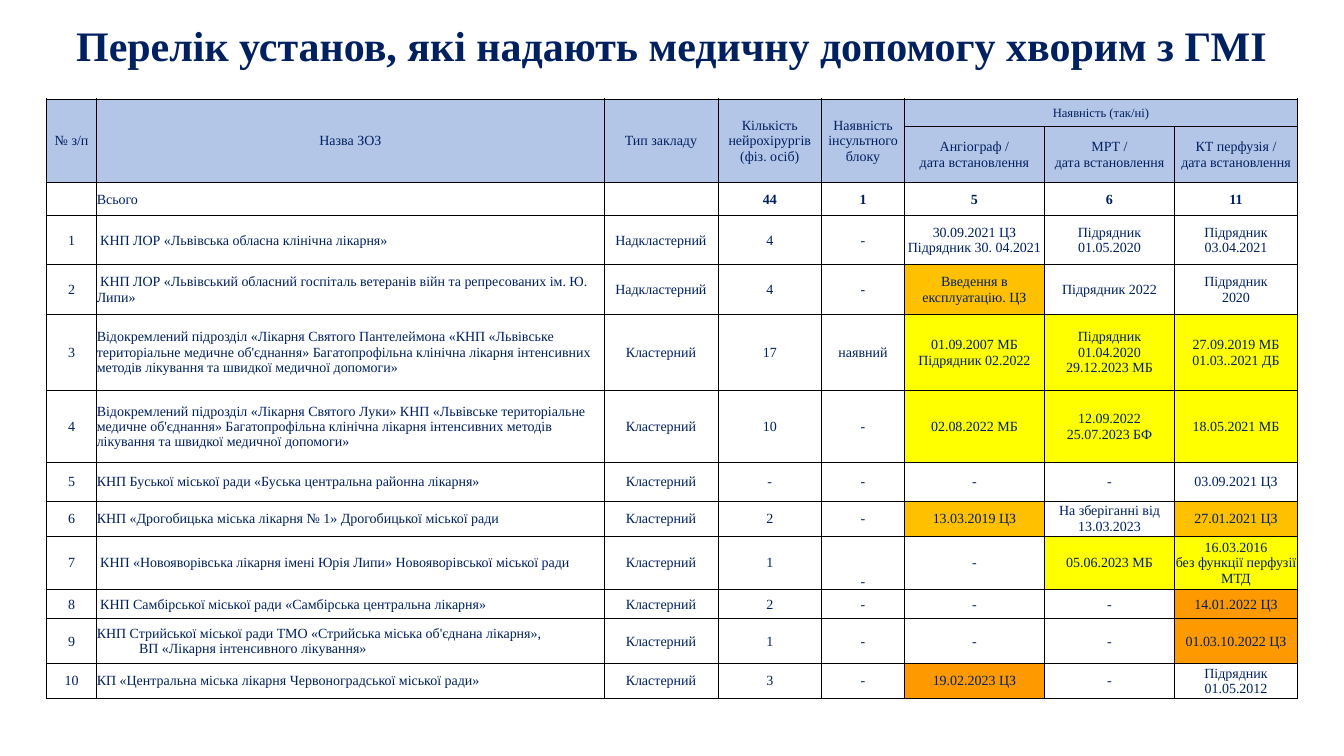
from copy import deepcopy
from dataclasses import dataclass, field

from lxml.etree import SubElement
from pptx import Presentation
from pptx.dml.color import RGBColor
from pptx.enum.text import MSO_ANCHOR, PP_ALIGN
from pptx.oxml.ns import qn
from pptx.util import Inches, Pt


@dataclass(frozen=True)
class Theme:
    font: str = "Times New Roman"
    ink: str = "002060"
    rule: str = "000000"
    head: str = "B4C6E7"
    gold: str = "FFC000"
    lemon: str = "FFFF00"
    amber: str = "FF9900"
    title: float = 30
    body: float = 10
    small: float = 9
    line: float = 0.5


@dataclass(frozen=True)
class Area:
    """A region in percent of the slide's width and height."""
    left: float
    top: float
    width: float
    height: float

    def box(self) -> tuple[int, int, int, int]:
        return (int(WIDE * self.left / 100), int(HIGH * self.top / 100),
                int(WIDE * self.width / 100), int(HIGH * self.height / 100))


@dataclass(frozen=True)
class Row:
    """One table row: its share of the height, cell texts and fills by column."""
    share: int
    texts: tuple[str, ...]
    fills: dict[int, str] = field(default_factory=dict)
    bold: bool = False


THEME = Theme()
WIDE, HIGH = Inches(13.33), Inches(7.5)
TITLE = Area(3.45, 2.4, 93.1, 6.93)
TABLE = Area(3.45, 13.07, 93.1, 79.33)
COLS = (50, 503, 113, 103, 82, 139, 129, 122)
NAME, UNIT, ANGIO, MRI, CT = 1, 4, 5, 6, 7
TOP, LOCAL = "Надкластерний", "Кластерний"
HEADS = 2
SHADE = dict.fromkeys(range(len(COLS)), THEME.head)

ROWS = (
    Row(27, ("№ з/п", "Назва ЗОЗ", "Тип закладу", "Кількість нейрохірургів (фіз. осіб)",
             "Наявність інсультного блоку", "Наявність (так/ні)", "", ""), SHADE),
    Row(56, ("", "", "", "", "", "Ангіограф /\nдата встановлення",
             "МРТ /\nдата встановлення", "КТ перфузія /\nдата встановлення"), SHADE),
    Row(33, ("", "Всього", "", "44", "1", "5", "6", "11"), bold=True),
    Row(48, ("1", " КНП ЛОР «Львівська обласна клінічна лікарня»", TOP, "4", "-",
             "30.09.2021 ЦЗ\nПідрядник 30. 04.2021", "Підрядник\n01.05.2020",
             "Підрядник 03.04.2021")),
    Row(50, ("2", " КНП ЛОР «Львівський обласний госпіталь ветеранів війн та репресованих ім. Ю. Липи»",
             TOP, "4", "-", "Введення в експлуатацію. ЦЗ", "Підрядник 2022", "Підрядник\n2020"),
        {ANGIO: THEME.gold}),
    Row(75, ("3", "Відокремлений підрозділ «Лікарня Святого Пантелеймона «КНП «Львівське "
             "територіальне медичне об'єднання» Багатопрофільна клінічна лікарня інтенсивних "
             "методів лікування та швидкої медичної допомоги»", LOCAL, "17", "наявний",
             "01.09.2007 МБ\nПідрядник 02.2022", "Підрядник\n01.04.2020\n29.12.2023 МБ",
             "27.09.2019 МБ 01.03..2021 ДБ"), dict.fromkeys((ANGIO, MRI, CT), THEME.lemon)),
    Row(72, ("4", "Відокремлений підрозділ «Лікарня Святого Луки» КНП «Львівське територіальне "
             "медичне об'єднання» Багатопрофільна клінічна лікарня інтенсивних методів "
             "лікування та швидкої медичної допомоги»", LOCAL, "10", "-", "02.08.2022 МБ",
             "12.09.2022\n25.07.2023 БФ", "18.05.2021 МБ"),
        dict.fromkeys((ANGIO, MRI, CT), THEME.lemon)),
    Row(38, ("5", "КНП Буської міської ради «Буська центральна районна лiкарня»", LOCAL,
             "-", "-", "-", "-", "03.09.2021 ЦЗ")),
    Row(35, ("6", "КНП «Дрогобицька міська лікарня № 1» Дрогобицької міської ради", LOCAL,
             "2", "-", "13.03.2019 ЦЗ", "На зберіганні від 13.03.2023", "27.01.2021 ЦЗ"),
        dict.fromkeys((ANGIO, CT), THEME.gold)),
    Row(53, ("7", " КНП «Новояворівська лікарня імені Юрія Липи» Новояворівської міської ради",
             LOCAL, "1", "-", "-", "05.06.2023 МБ", "16.03.2016\nбез функції перфузії МТД"),
        dict.fromkeys((MRI, CT), THEME.lemon)),
    Row(29, ("8", " КНП Самбірської міської ради «Самбірська центральна лікарня»", LOCAL,
             "2", "-", "-", "-", "14.01.2022 ЦЗ"), {CT: THEME.amber}),
    Row(44, ("9", "КНП Стрийської міської ради ТМО «Стрийська міська об'єднана лікарня»,",
             LOCAL, "1", "-", "-", "-", "01.03.10.2022 ЦЗ"), {CT: THEME.amber}),
    Row(35, ("10", "КП «Центральна міська лікарня Червоноградської міської ради»", LOCAL,
             "3", "-", "19.02.2023 ЦЗ", "-", "Підрядник 01.05.2012"), {ANGIO: THEME.amber}),
)
BRANCH = "ВП «Лікарня інтенсивного лікування»"
BRANCH_ROW = 11
LOW_ROW = 9


def write(para, text: str, *, size: float = THEME.body, bold: bool = False,
          align=PP_ALIGN.CENTER, indent: float = 0) -> None:
    para.text = text
    para.alignment = align
    if indent:
        para._p.get_or_add_pPr().set("marL", str(Inches(indent)))
    for run in para.runs:
        font = run.font
        font.name, font.size, font.bold = THEME.font, Pt(size), bold
        font.color.rgb = RGBColor.from_string(THEME.ink)
    for gap in para._p.findall(qn("a:br")):
        gap.append(deepcopy(para.runs[0]._r.rPr))
    if not text:
        SubElement(para._p, qn("a:endParaRPr"), sz=str(int(size * 100)))


def edge(cell) -> None:
    """Rule all four sides of a cell."""
    props = cell._tc.get_or_add_tcPr()
    for side in ("lnL", "lnR", "lnT", "lnB"):
        line = SubElement(props, qn(f"a:{side}"), w=str(Pt(THEME.line)))
        SubElement(SubElement(line, qn("a:solidFill")), qn("a:srgbClr"), val=THEME.rule)


def style(cell, fill: str | None) -> None:
    cell.margin_left = cell.margin_right = cell.margin_bottom = 0
    cell.margin_top = Inches(0.01)
    cell.vertical_anchor = MSO_ANCHOR.MIDDLE
    edge(cell)
    if fill:
        cell.fill.solid()
        cell.fill.fore_color.rgb = RGBColor.from_string(fill)
    else:
        cell.fill.background()


def draw_title(slide) -> None:
    frame = slide.shapes.add_textbox(*TITLE.box()).text_frame
    frame.word_wrap = True
    frame.margin_left = frame.margin_right = frame.margin_bottom = 0
    frame.margin_top = Inches(0.01)
    write(frame.paragraphs[0], "Перелік установ, які надають медичну допомогу хворим з ГМІ",
          size=THEME.title, bold=True)


def draw_table(slide) -> None:
    box = TABLE.box()
    table = slide.shapes.add_table(len(ROWS), len(COLS), *box).table
    table.first_row = table.horz_banding = False
    for col, share in zip(table.columns, COLS):
        col.width = int(box[2] * share / sum(COLS))
    total = sum(row.share for row in ROWS)
    for r, row in enumerate(ROWS):
        table.rows[r].height = int(box[3] * row.share / total)
        for c, text in enumerate(row.texts):
            cell = table.cell(r, c)
            style(cell, row.fills.get(c))
            left = c == NAME and r >= HEADS
            write(cell.text_frame.paragraphs[0], text,
                  size=THEME.small if (r, c) == (0, ANGIO) else THEME.body,
                  bold=row.bold and not left,
                  align=PP_ALIGN.LEFT if left else PP_ALIGN.CENTER)
    for c in range(ANGIO):
        table.cell(0, c).merge(table.cell(HEADS - 1, c))
    table.cell(0, ANGIO).merge(table.cell(0, CT))
    table.cell(LOW_ROW, UNIT).vertical_anchor = MSO_ANCHOR.BOTTOM
    write(table.cell(BRANCH_ROW, NAME).text_frame.add_paragraph(), BRANCH,
          align=PP_ALIGN.LEFT, indent=0.42)


def main() -> None:
    deck = Presentation()
    deck.slide_width, deck.slide_height = WIDE, HIGH
    slide = deck.slides.add_slide(deck.slide_layouts[6])
    draw_title(slide)
    draw_table(slide)
    deck.save("out.pptx")


if __name__ == "__main__":
    main()
